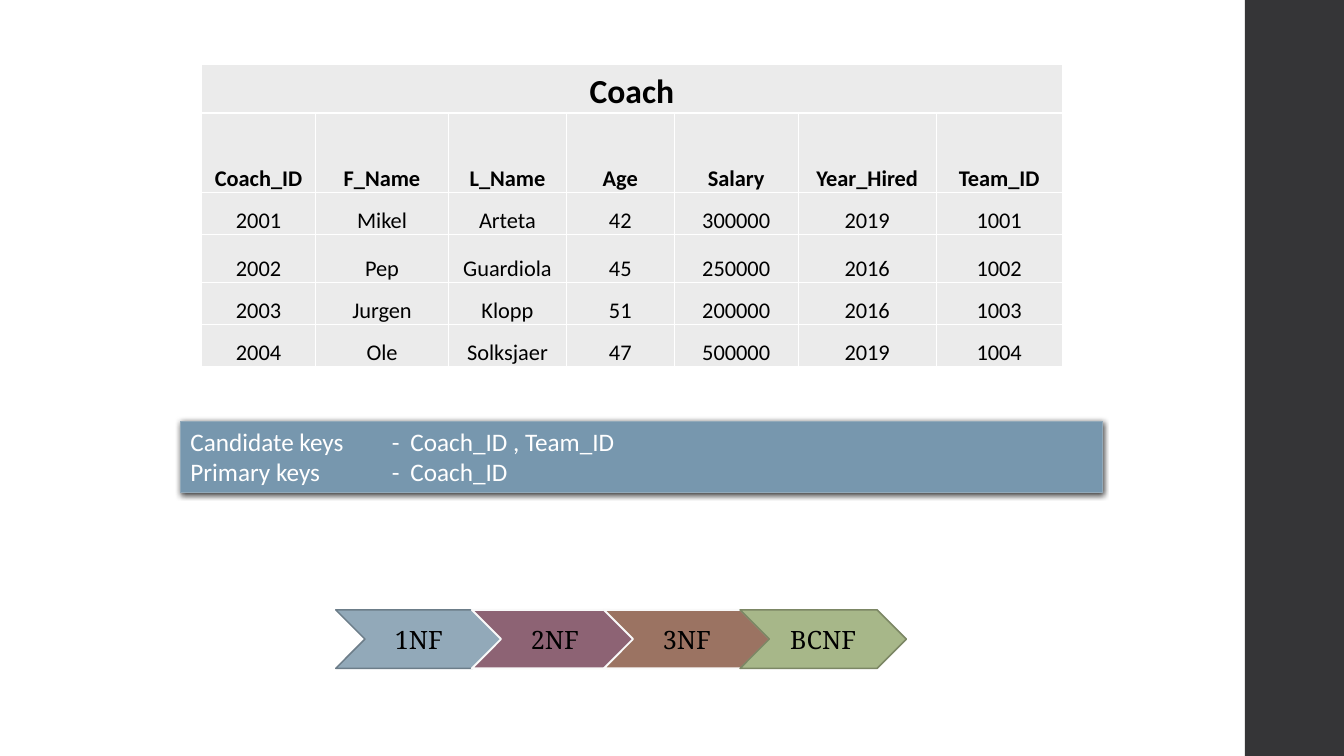
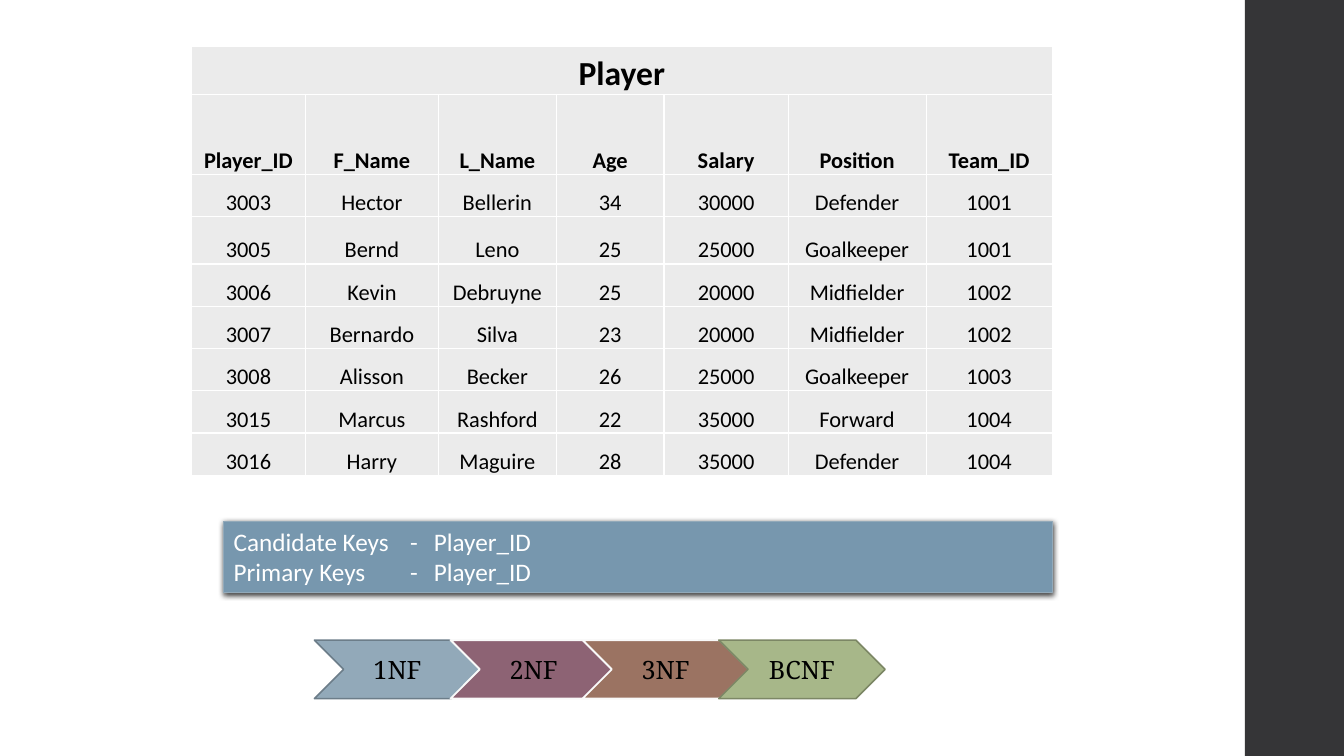
from lxml import etree
from pptx import Presentation
from pptx.dml.color import RGBColor
from pptx.enum import shapes, text
from pptx.oxml import ns
from pptx.util import Pt

# Shared colours, fonts and measures
BLACK = RGBColor(0x00, 0x00, 0x00)
WHITE = RGBColor(0xFF, 0xFF, 0xFF)
BAND = RGBColor(0x35, 0x35, 0x37)
CELL = RGBColor(0xEB, 0xEB, 0xEB)
KEYS_FILL = RGBColor(0x77, 0x97, 0xAE)
BLUE = RGBColor(0x92, 0xA9, 0xB9)
BLUE_EDGE = RGBColor(0x6C, 0x7D, 0x89)
PLUM = RGBColor(0x8D, 0x63, 0x74)
BROWN = RGBColor(0x9B, 0x73, 0x62)
GREEN = RGBColor(0xA7, 0xB7, 0x89)
GREEN_EDGE = RGBColor(0x7C, 0x87, 0x65)
PALE_EDGE = RGBColor(0xF9, 0xF9, 0xF9)

BODY_FONT = "Calibri"
STEP_FONT = "Noto Serif"
COLUMN_WIDTHS = (81.4, 95, 84.2, 77, 88.6, 98.6, 90)
TITLE_HEIGHT, HEADER_HEIGHT, ROW_HEIGHT, TALL_ROW_HEIGHT = 34.6, 56.9, 30.2, 33.8
KEYS_HEIGHT = 51.1
STEP_WIDTH, STEP_HEIGHT = 118.8, 41.8

# Label, offset from the first step, fill, edge colour, edge width
NORMAL_FORMS = (
    ("1NF", 0, BLUE, BLUE_EDGE, 1.1),
    ("2NF", 97.2, PLUM, PALE_EDGE, 1.35),
    ("3NF", 191.5, BROWN, PALE_EDGE, 1.35),
    ("BCNF", 288.8, GREEN, GREEN_EDGE, 1.1),
)

COACHES = (
    ("Coach_ID", "F_Name", "L_Name", "Age", "Salary", "Year_Hired", "Team_ID"),
    ("2001", "Mikel", "Arteta", "42", "300000", "2019", "1001"),
    ("2002", "Pep", "Guardiola", "45", "250000", "2016", "1002"),
    ("2003", "Jurgen", "Klopp", "51", "200000", "2016", "1003"),
    ("2004", "Ole", "Solksjaer", "47", "500000", "2019", "1004"),
)
PLAYERS = (
    ("Player_ID", "F_Name", "L_Name", "Age", "Salary", "Position", "Team_ID"),
    ("3003", "Hector", "Bellerin", "34", "30000", "Defender", "1001"),
    ("3005", "Bernd", "Leno", "25", "25000", "Goalkeeper", "1001"),
    ("3006", "Kevin", "Debruyne", "25", "20000", "Midfielder", "1002"),
    ("3007", "Bernardo", "Silva", "23", "20000", "Midfielder", "1002"),
    ("3008", "Alisson", "Becker", "26", "25000", "Goalkeeper", "1003"),
    ("3015", "Marcus", "Rashford", "22", "35000", "Forward", "1004"),
    ("3016", "Harry", "Maguire", "28", "35000", "Defender", "1004"),
)


def add_xml(parent, tag, position=None, **attributes):
    """Add a DrawingML child element and return it."""
    element = etree.Element(ns.qn(tag), {k: str(v) for k, v in attributes.items()})
    parent.insert(len(parent) if position is None else position, element)
    return element


def style_paragraph(paragraph, size, color, font=BODY_FONT, bold=False,
                    align=text.PP_ALIGN.CENTER):
    paragraph.alignment = align
    paragraph.font.name = font
    paragraph.font.size = Pt(size)
    paragraph.font.bold = bold
    paragraph.font.color.rgb = color


def add_filled_shape(slide, kind, left, top, width, height, fill, edge=None, edge_width=0):
    shape = slide.shapes.add_shape(kind, Pt(left), Pt(top), Pt(width), Pt(height))
    shape.shadow.inherit = False
    shape.fill.solid()
    shape.fill.fore_color.rgb = fill
    if edge is None:
        shape.line.fill.background()
    else:
        shape.line.color.rgb = edge
        shape.line.width = Pt(edge_width)
    return shape


def add_master_band(presentation, slide):
    """Put the dark side band on the master, behind every slide."""
    band = add_filled_shape(slide, shapes.MSO_SHAPE.RECTANGLE, 889.2, 0, 70.8, 540, BAND)
    presentation.slide_master.shapes.element.append(band.element)


def format_cell(cell, content, size, bold):
    cell.text = content
    cell.vertical_anchor = text.MSO_ANCHOR.BOTTOM
    cell.margin_left = cell.margin_right = cell.margin_top = Pt(0.72)
    cell.margin_bottom = 0
    cell.fill.solid()
    cell.fill.fore_color.rgb = CELL
    style_paragraph(cell.text_frame.paragraphs[0], size, BLACK, bold=bold)
    properties = cell._tc.get_or_add_tcPr()
    for position, side in enumerate(("a:lnL", "a:lnR", "a:lnT", "a:lnB")):
        border = add_xml(properties, side, position, w=Pt(1))
        add_xml(add_xml(border, "a:solidFill"), "a:srgbClr", val=WHITE)


def add_entity_table(slide, left, top, title, records):
    heights = [TITLE_HEIGHT, HEADER_HEIGHT] + [ROW_HEIGHT] * (len(records) - 1)
    heights[3] = TALL_ROW_HEIGHT
    frame = slide.shapes.add_table(len(heights), len(COLUMN_WIDTHS), Pt(left), Pt(top),
                                   Pt(sum(COLUMN_WIDTHS)), Pt(sum(heights)))
    table = frame.table
    table.first_row = table.horz_banding = False
    for column, width in zip(table.columns, COLUMN_WIDTHS):
        column.width = Pt(width)
    for row, height in zip(table.rows, heights):
        row.height = Pt(height)
    # Title row spans all columns
    for column in range(len(COLUMN_WIDTHS)):
        format_cell(table.cell(0, column), "" if column else title, 24, True)
    table.cell(0, 0).merge(table.cell(0, len(COLUMN_WIDTHS) - 1))
    # Column names, then data
    for row, record in enumerate(records, start=1):
        for column, value in enumerate(record):
            format_cell(table.cell(row, column), value, 16, row == 1)


def add_keys_box(slide, left, top, width, lines, tab_stops):
    box = add_filled_shape(slide, shapes.MSO_SHAPE.RECTANGLE, left, top, width,
                           KEYS_HEIGHT, KEYS_FILL, BLUE, 0.75)
    effects = box.element.spPr.find(ns.qn("a:effectLst"))
    shadow = add_xml(effects, "a:outerShdw", blurRad=Pt(4), dist=Pt(1.2),
                     dir=90 * 60000, rotWithShape=0)
    add_xml(add_xml(shadow, "a:srgbClr", val=BLACK), "a:alpha", val=75000)
    frame = box.text_frame
    frame.word_wrap = True
    frame.vertical_anchor = text.MSO_ANCHOR.TOP
    frame.auto_size = text.MSO_AUTO_SIZE.SHAPE_TO_FIT_TEXT
    frame.text = "\n".join("\t-\t".join(line) for line in lines)
    for paragraph in frame.paragraphs:
        style_paragraph(paragraph, 18, WHITE, align=text.PP_ALIGN.LEFT)
        tabs = add_xml(paragraph._p.get_or_add_pPr(), "a:tabLst", 0)
        for stop in tab_stops:
            add_xml(tabs, "a:tab", pos=Pt(stop), algn="l")


def add_normal_forms(slide, left, top):
    for label, offset, fill, edge, edge_width in NORMAL_FORMS:
        step = add_filled_shape(slide, shapes.MSO_SHAPE.CHEVRON, left + offset, top,
                                STEP_WIDTH, STEP_HEIGHT, fill, edge, edge_width)
        frame = step.text_frame
        frame.text = label
        frame.word_wrap = False
        frame.vertical_anchor = text.MSO_ANCHOR.MIDDLE
        style_paragraph(frame.paragraphs[0], 18, BLACK, STEP_FONT)


def main():
    presentation = Presentation()
    presentation.slide_width, presentation.slide_height = Pt(960), Pt(540)
    blank = presentation.slide_layouts[6]

    # Coach
    slide = presentation.slides.add_slide(blank)
    add_master_band(presentation, slide)
    add_normal_forms(slide, 239.8, 435.6)
    add_entity_table(slide, 144, 46.1, "Coach", COACHES)
    add_keys_box(slide, 128.9, 301, 658.8,
                 (("Candidate keys", "Coach_ID , Team_ID"), ("Primary keys", "Coach_ID")),
                 (144, 157.2))

    # Player
    slide = presentation.slides.add_slide(blank)
    add_normal_forms(slide, 224.6, 457.2)
    add_entity_table(slide, 136.8, 33.1, "Player", PLAYERS)
    add_keys_box(slide, 159.8, 372.2, 591.8,
                 (("Candidate Keys", "Player_ID"), ("Primary Keys", "Player_ID")),
                 (126, 143))

    presentation.save("out.pptx")


main()
